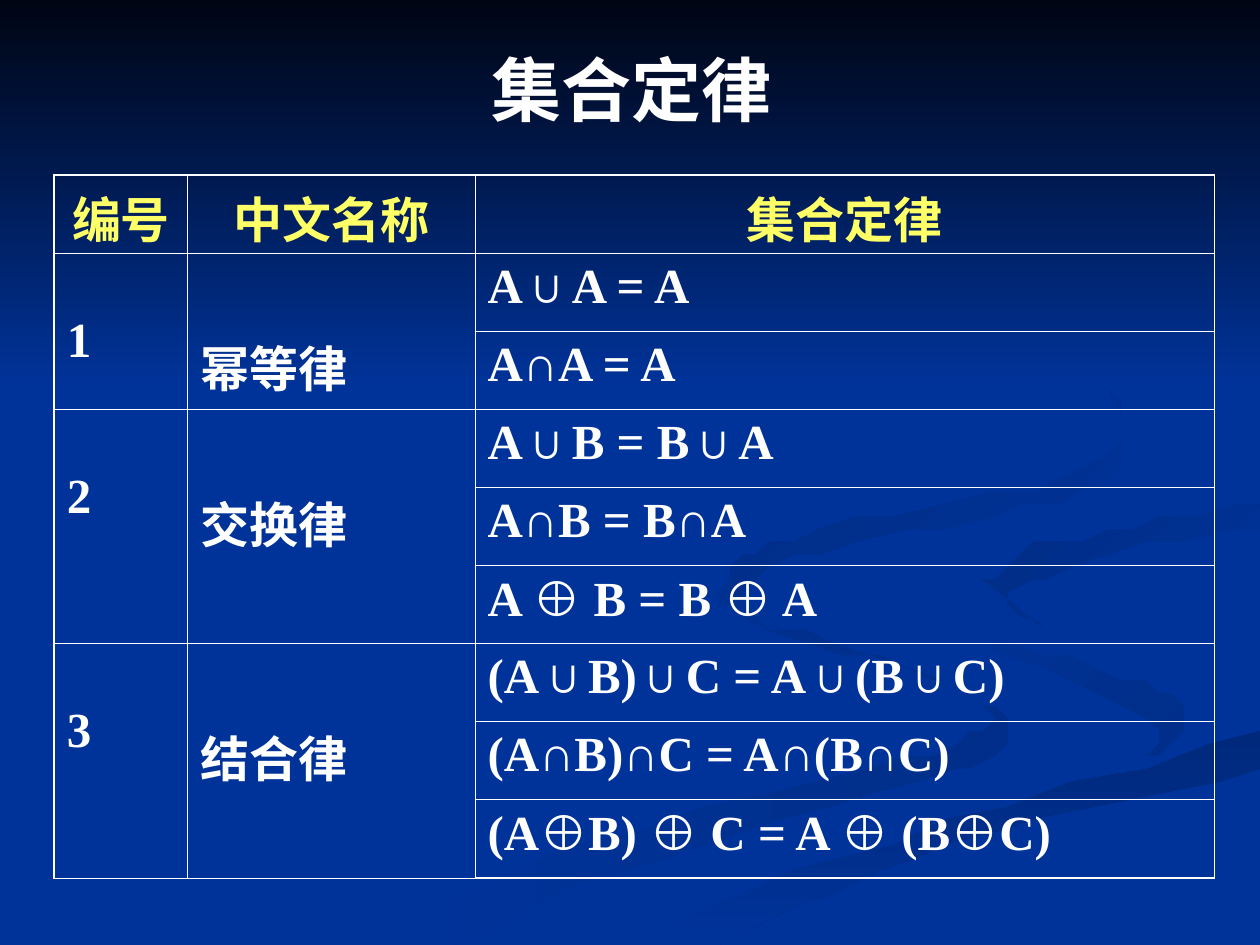
import itertools
import pptx
import pptx.dml.color
import pptx.enum.shapes
import pptx.enum.text
import pptx.oxml
import pptx.oxml.ns
import pptx.util

COLS, ROWS = 100, 75
UNIT = pptx.util.Inches(10) // COLS
WHITE, GOLD, BLUE = "FFFFFF", "FFFF66", "003399"
FACE, SIGN = "Times New Roman", "Arial"
LEFT, MID = pptx.enum.text.PP_ALIGN.LEFT, pptx.enum.text.PP_ALIGN.CENTER
STEPS = 4

EDGES = {
    "arc": [(57.5, 46), (61.4, 49.6), (71.5, 52.8), (78.1, 55.5), (80, 58.1),
            (75.6, 61.4), (62.3, 64.7), (49.9, 68.7), (36.1, 74.9)],
    "under": [(30, 74.9), (45.8, 67.4), (65.2, 62), (75.9, 59), (78.5, 56.2),
              (69.7, 52.5), (59.3, 49.1), (57, 46.8)],
    "bend": [(72.4, 46.4), (75.8, 49.8), (85, 52.4), (92, 54.7), (94.3, 57),
             (92.6, 59.3), (89.4, 60.5)],
    "fold": [(89.4, 60.5), (91.8, 58.1), (85.4, 53.9), (75.5, 50.5),
             (72.4, 46.4)],
    "low": [(89.4, 60.5), (78, 63.4), (61.9, 68.4), (47.7, 74.9)],
    "floor": [(50.3, 74.9), (63, 69.3), (79.7, 63.8), (99.9, 58.1)],
    "base": [(99.9, 60.9), (82.1, 65.1), (69.5, 69.2), (57.1, 74.9)],
    "lip": [(99.9, 53.8), (90.4, 51.9), (82.6, 49.6), (78.1, 46.3)],
    "hook": [(78.1, 46.3), (82.2, 43.4), (89.9, 41.8), (99.9, 40.2)],
    "crest": [(99.9, 38.7), (85.1, 41.1), (75.5, 43.2), (72.4, 46.4)],
    "cup": [(99.9, 42), (87.8, 43.9), (80.5, 47.2), (82.6, 49.6)],
    "wave": [(76.2, 23.3), (87, 29.9), (88.6, 34.8), (81.8, 38.6),
             (67.6, 41.4), (59.7, 43.7), (57.8, 46.8), (62.2, 50)],
    "foam": [(62.2, 50), (59.3, 47), (64.9, 43.6), (78.6, 41.2),
             (87.6, 37.8), (89, 32.4), (81, 25.6), (76.2, 23.3)],
}
BANDS = [
    ("arc under", ("002E8A", BLUE, 180)),
    ("bend fold", ("002E8A", BLUE, 225)),
    ("floor base", ("00297C", BLUE, 90)),
    ("bend low floor lip hook crest", (BLUE,)),
    ("hook cup", (BLUE, "002C85", 225)),
    ("wave foam", (BLUE, "002B81", 225)),
]

WIDTHS, TALL = (10.6, 22.8, 58.7), 6.2
HEADS = ("编号", "中文名称", "集合定律")
LAWS = [
    ("幂等律", ["A∪A = A", "A∩A = A"]),
    ("交换律", ["A∪B = B∪A", "A∩B = B∩A", "A ⊕ B = B ⊕ A"]),
    ("结合律", ["(A∪B)∪C = A∪(B∪C)", "(A∩B)∩C = A∩(B∩C)",
             "(A⊕B) ⊕ C = A ⊕ (B⊕C)"]),
]


def tint(code):
    return pptx.dml.color.RGBColor.from_string(code)


def span(*sizes):
    return [round(size * UNIT) for size in sizes]


def curve(dots):
    ends = [dots[0], *dots, dots[-1]]
    line = []
    for quad in zip(ends, ends[1:], ends[2:], ends[3:]):
        for step in range(STEPS):
            t = step / STEPS
            line.append(tuple(
                b + t * (c - a + t * (2 * a - 5 * b + 4 * c - d
                                      + t * (3 * b - a - 3 * c + d))) / 2
                for a, b, c, d in zip(*quad)))
    return line + [dots[-1]]


def paint(shape, first, last=None, angle=0):
    if last:
        shape.fill.gradient()
        shape.fill.gradient_angle = 360 - angle
        for stop, code in zip(shape.fill.gradient_stops, (first, last)):
            stop.color.rgb = tint(code)
    else:
        shape.fill.solid()
        shape.fill.fore_color.rgb = tint(first)
    shape.line.fill.background()
    shape.shadow.inherit = False


def write(frame, text, size=28, color=WHITE, align=LEFT, lead=None):
    line = frame.paragraphs[0]
    line.alignment = align
    if lead:
        line.line_spacing = lead
    for sign, part in itertools.groupby(text, lambda mark: mark == "⊕"):
        run = line.add_run()
        run.text = "".join(part)
        run.font.name = SIGN if sign else FACE
        run.font.size = pptx.util.Pt(size)
        run.font.bold = True
        run.font.color.rgb = tint(color)


def edge(cell, side, width):
    props = cell._tc.get_or_add_tcPr()
    space = pptx.oxml.ns.nsdecls("a")
    props.append(pptx.oxml.parse_xml(
        f'<a:ln{side} {space} w="{pptx.util.Pt(width)}"><a:solidFill>'
        f'<a:srgbClr val="{WHITE}"/></a:solidFill></a:ln{side}>'))


def back(slide, box):
    left, top, wide, high = box
    slide.background.fill.solid()
    slide.background.fill.fore_color.rgb = tint(BLUE)
    for names, fill in BANDS:
        dots = [dot for name in names.split() for dot in curve(EDGES[name])]
        path = slide.shapes.build_freeform(
            *dots[0], scale=(wide * UNIT / COLS, high * UNIT / ROWS))
        path.add_line_segments(dots[1:], close=True)
        paint(path.convert_to_shape(*span(left, top)), *fill)
    shade = slide.shapes.add_shape(
        pptx.enum.shapes.MSO_SHAPE.RECTANGLE,
        *span(left, top, wide, high * 0.41))
    paint(shade, "000514", BLUE, 90)


def title(slide, box):
    frame = slide.shapes.add_textbox(*span(*box)).text_frame
    frame.word_wrap = True
    frame.vertical_anchor = pptx.enum.text.MSO_ANCHOR.MIDDLE
    write(frame, "集合定律", size=40, align=MID)


def laws(slide, box):
    left, top, wide, high = box
    count = 1 + sum(len(rules) for name, rules in LAWS)
    grid = slide.shapes.add_table(
        count, len(WIDTHS), *span(left, top, wide, high)).table
    grid.first_row = grid.horz_banding = False
    for col, size in zip(grid.columns, WIDTHS):
        col.width = span(wide * size / sum(WIDTHS))[0]
    for row in grid.rows:
        row.height = span(high / count)[0]
    for y, x in itertools.product(range(count), range(len(WIDTHS))):
        cell = grid.cell(y, x)
        outer = {"L": x == 0, "R": x == len(WIDTHS) - 1,
                 "T": y == 0, "B": y == count - 1}
        for side, rim in outer.items():
            edge(cell, side, 1.08 if rim else 0.45)
        cell.fill.background()
    for x, head in enumerate(HEADS):
        write(grid.cell(0, x).text_frame, head, color=GOLD, align=MID)
    y = 1
    for num, (name, rules) in enumerate(LAWS, 1):
        for x, label in enumerate((str(num), name)):
            cell = grid.cell(y, x)
            cell.merge(grid.cell(y + len(rules) - 1, x))
            write(cell.text_frame, label, lead=2.0)
        for rule in rules:
            write(grid.cell(y, 2).text_frame, rule)
            y += 1


def main():
    deck = pptx.Presentation()
    deck.slide_width, deck.slide_height = span(COLS, ROWS)
    slide = deck.slides.add_slide(deck.slide_layouts[6])
    back(slide, (0, 0, COLS, ROWS))
    title(slide, (5.1, 3.6, 90, 6.9))
    laws(slide, (4.3, 13.9, sum(WIDTHS), 9 * TALL))
    deck.save("out.pptx")


if __name__ == "__main__":
    main()
